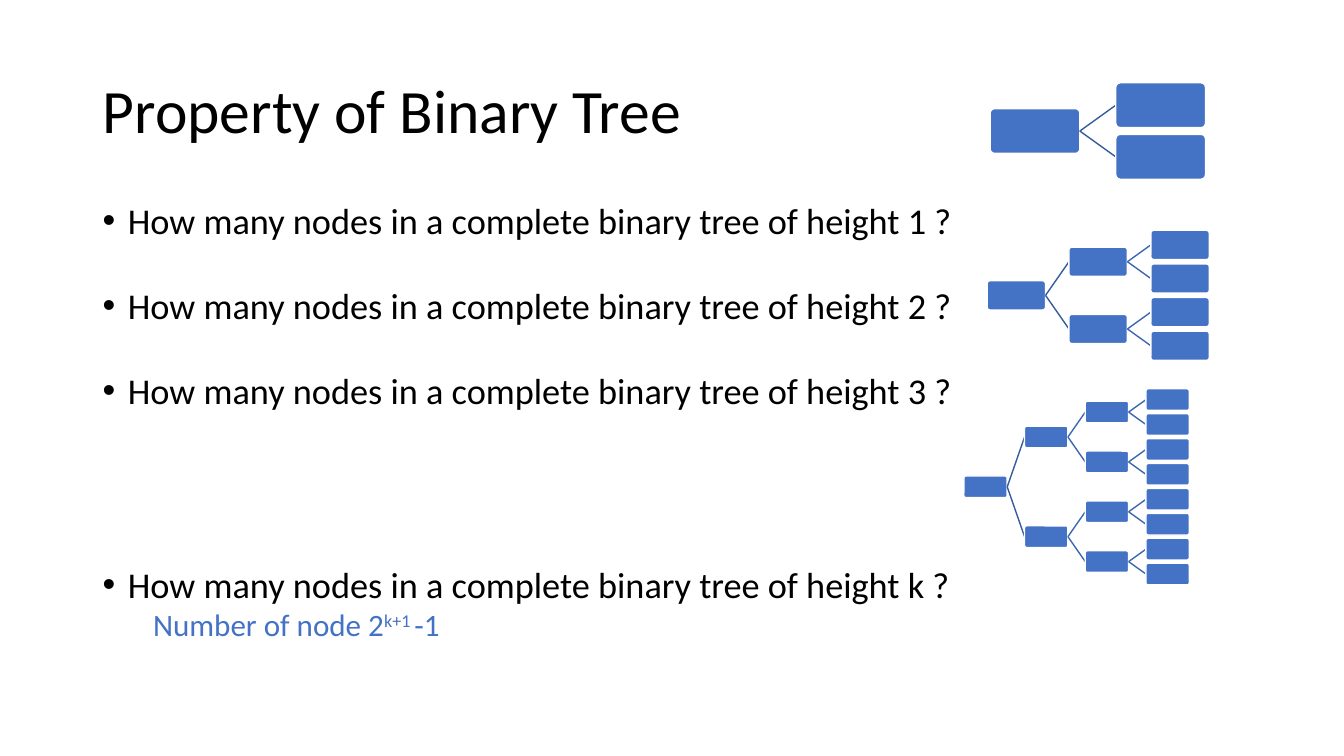
from lxml import etree
from pptx import Presentation, util as u
from pptx.dml.color import RGBColor
from pptx.enum import shapes, text
from pptx.oxml import ns

FONT = "Calibri"
BLACK, BLUE, WHITE = "000000", "4472C4", "FFFFFF"
ROOT_LINK, INNER_LINK = "365B9D", "3E67B2"

TITLE = "Property of Binary Tree"
QUESTION = "How many nodes in a complete binary tree of height {} ?"
# height asked about, points of space before the question
QUESTIONS = [("1", 10), ("2", 35.8), ("3", 35.8), ("k", 114)]
# run text, baseline shift in percent
ANSWER = [("Number of node 2", 0), ("k+1 ", 30), ("-1", 0)]
# height, left edge, middle of the root, node width (inches)
TREES = [(1, 9.82, 1.3, 0.89), (2, 9.79, 2.93, 0.58), (3, 9.56, 4.83, 0.43)]

TITLE_BOX = (0.92, 0.4, 11.5, 1.45)
BODY_BOX = (0.92, 2, 11.5, 4.76)
# in node widths
NODE_HEIGHT, COLUMN_STEP, LEAF_STEP = 0.5, 1.4, 0.575


def color(value):
    return RGBColor.from_string(value)


def inches(*lengths):
    return [u.Inches(length) for length in lengths]


def apply(target, **values):
    for name, value in values.items():
        setattr(target, name, value)


def add_run(paragraph, words, size, hue, baseline=0):
    run = paragraph.add_run()
    run.text = words
    apply(run.font, name=FONT, size=u.Pt(size))
    run.font.color.rgb = color(hue)
    if baseline:
        run._r.get_or_add_rPr().set("baseline", str(baseline * 1000))


def format_paragraph(paragraph, before, margin, indent, bullet=None):
    apply(paragraph, line_spacing=0.8, space_before=u.Pt(before),
          alignment=text.PP_ALIGN.LEFT)
    properties = paragraph._p.get_or_add_pPr()
    properties.set("marL", str(u.Inches(margin)))
    properties.set("indent", str(u.Inches(indent)))
    if bullet:
        font = etree.SubElement(properties, ns.qn("a:buFont"))
        font.set("typeface", "Arial")
        mark = etree.SubElement(properties, ns.qn("a:buChar"))
        mark.set("char", bullet)


def add_title(slide):
    title = slide.shapes.title
    apply(title, **dict(zip(("left", "top", "width", "height"), inches(*TITLE_BOX))))
    apply(title.text_frame, vertical_anchor=text.MSO_ANCHOR.MIDDLE, word_wrap=True)
    paragraph = title.text_frame.paragraphs[0]
    apply(paragraph, alignment=text.PP_ALIGN.LEFT, line_spacing=0.9)
    add_run(paragraph, TITLE, 44, BLACK)


def add_body(slide):
    frame = slide.shapes.add_textbox(*inches(*BODY_BOX)).text_frame
    frame.word_wrap = True
    for index, (height, before) in enumerate(QUESTIONS):
        paragraph = frame.add_paragraph() if index else frame.paragraphs[0]
        format_paragraph(paragraph, before, 0.25, -0.25, "•")
        add_run(paragraph, QUESTION.format(height), 25.9, BLACK)
    paragraph = frame.add_paragraph()
    format_paragraph(paragraph, 5, 0.5, 0)
    for words, baseline in ANSWER:
        add_run(paragraph, words, 22.2, BLUE, baseline)


def add_node(group, left, middle, width):
    height = width * NODE_HEIGHT
    node = group.shapes.add_shape(
        shapes.MSO_SHAPE.ROUNDED_RECTANGLE,
        *inches(left, middle - height / 2, width, height))
    node.adjustments[0] = 0.1
    node.shadow.inherit = False
    node.fill.solid()
    node.fill.fore_color.rgb = color(BLUE)
    node.line.color.rgb = color(WHITE)
    node.line.width = u.Pt(1)


def add_link(group, start, end, hue):
    link = group.shapes.add_connector(
        shapes.MSO_CONNECTOR.STRAIGHT, *inches(*start, *end))
    link.line.color.rgb = color(hue)
    link.line.width = u.Pt(1)
    etree.SubElement(link._element.spPr, ns.qn("a:effectLst"))


def add_subtree(group, height, left, middle, width, hue=ROOT_LINK):
    """Draw a node, then each link and child subtree to its right."""
    add_node(group, left, middle, width)
    if height == 0:
        return
    child_left = left + COLUMN_STEP * width
    offset = LEAF_STEP * width * 2 ** (height - 2)
    for child_middle in (middle - offset, middle + offset):
        add_link(group, (left + width, middle), (child_left, child_middle), hue)
        add_subtree(group, height - 1, child_left, child_middle, width, INNER_LINK)


def main():
    presentation = Presentation()
    apply(presentation, slide_width=u.Inches(13.33), slide_height=u.Inches(7.5))
    slide = presentation.slides.add_slide(presentation.slide_layouts[5])
    add_title(slide)
    add_body(slide)
    for tree in TREES:
        add_subtree(slide.shapes.add_group_shape(), *tree)
    presentation.save("out.pptx")


if __name__ == "__main__":
    main()
